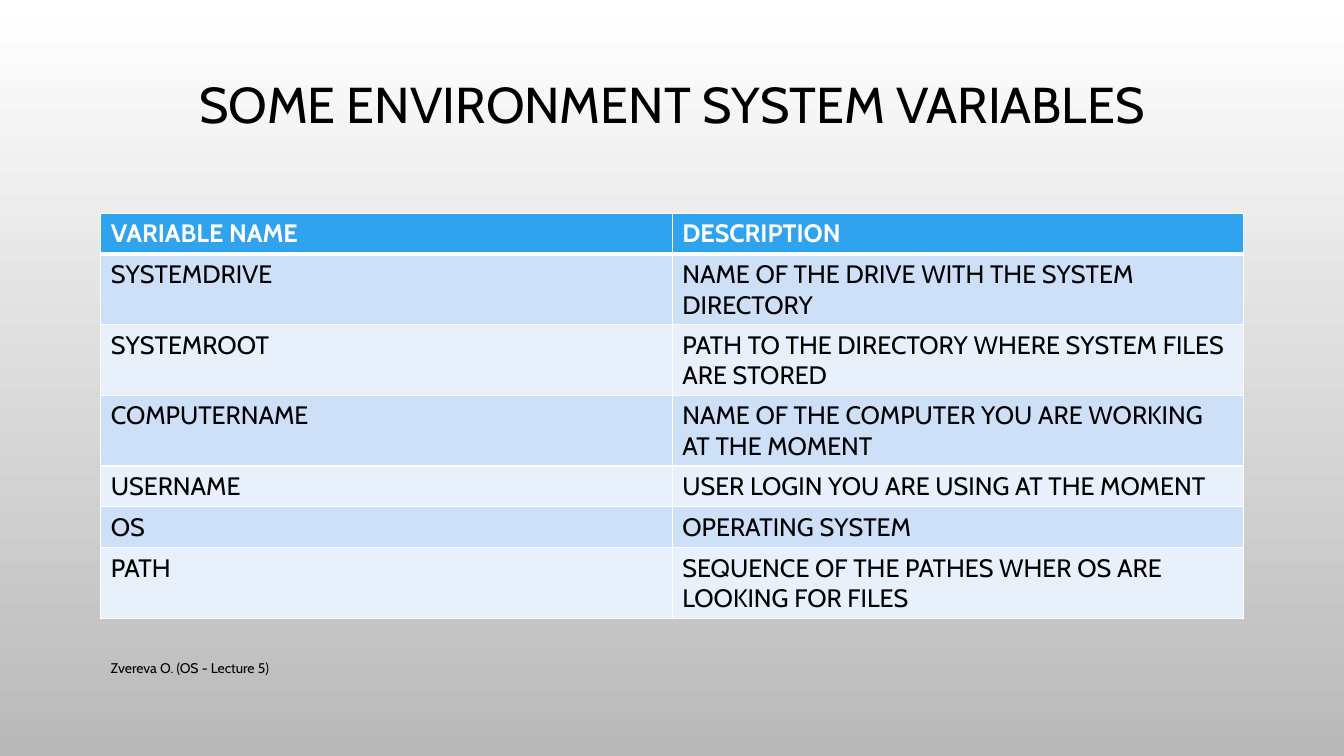
from dataclasses import dataclass

from lxml.etree import SubElement
from pptx import Presentation
from pptx.dml.color import RGBColor
from pptx.enum.text import MSO_ANCHOR, PP_ALIGN
from pptx.oxml.ns import qn
from pptx.util import Pt


@dataclass(frozen=True)
class Theme:
    """Colours, font and type sizes of the slide."""

    font: str = "Cabin"
    text: str = "000000"
    light: str = "FFFFFF"
    shade: str = "B9B9B9"
    header: str = "2FA3EE"
    bands: tuple = ("CDE0F8", "E8F0FC")
    title_size: int = 36
    table_size: int = 18
    footer_size: int = 10


class SlideBuilder:
    """Draws styled elements on the current slide."""

    def __init__(self, s, theme):
        self.s = s
        self.theme = theme

    def background(self):
        """Fill the slide with a vertical gradient."""
        fill = self.s.background.fill
        fill.gradient()
        fill.gradient_angle = 270
        for stop, color in zip(fill.gradient_stops, (self.theme.light, self.theme.shade)):
            stop.color.rgb = RGBColor.from_string(color)

    def style(self, p, size, color, bold=False):
        """Format every run of a paragraph."""
        for r in p.runs:
            r.font.name = self.theme.font
            r.font.size = Pt(size)
            r.font.bold = bold
            r.font.color.rgb = RGBColor.from_string(color)

    def text(self, text, left, top, width, height, size, align=PP_ALIGN.LEFT, spacing=1.0):
        """Add a vertically centred text box."""
        tf = self.s.shapes.add_textbox(Pt(left), Pt(top), Pt(width), Pt(height)).text_frame
        tf.word_wrap = True
        tf.vertical_anchor = MSO_ANCHOR.MIDDLE
        tf.text = text
        p = tf.paragraphs[0]
        p.alignment = align
        p.line_spacing = spacing
        self.style(p, size, self.theme.text)

    def borders(self, cell, top, bottom):
        """Draw light borders around a table cell."""
        tc_pr = cell._tc.get_or_add_tcPr()
        for side, width in (("L", 1), ("R", 1), ("T", top), ("B", bottom)):
            ln = SubElement(tc_pr, qn(f"a:ln{side}"), w=str(Pt(width)))
            fill = SubElement(ln, qn("a:solidFill"))
            SubElement(fill, qn("a:srgbClr"), val=self.theme.light)

    def table(self, rows, left, top, col_width, row_height):
        """Add a banded table with a header row."""
        n_rows, n_cols = len(rows), len(rows[0])
        table = self.s.shapes.add_table(
            n_rows, n_cols, Pt(left), Pt(top), Pt(col_width * n_cols), Pt(row_height * n_rows)
        ).table
        for col in table.columns:
            col.width = Pt(col_width)
        for i, values in enumerate(rows):
            table.rows[i].height = Pt(row_height)
            is_header = i == 0
            fill = self.theme.header if is_header else self.theme.bands[(i - 1) % 2]
            color = self.theme.light if is_header else self.theme.text
            for j, value in enumerate(values):
                cell = table.cell(i, j)
                self.borders(cell, 3 if i == 1 else 1, 3 if is_header else 1)
                cell.fill.solid()
                cell.fill.fore_color.rgb = RGBColor.from_string(fill)
                cell.text = value
                self.style(cell.text_frame.paragraphs[0], self.theme.table_size, color, is_header)


VARIABLES = [
    ("VARIABLE NAME", "DESCRIPTION"),
    ("SYSTEMDRIVE", "NAME OF THE DRIVE WITH THE SYSTEM DIRECTORY"),
    ("SYSTEMROOT", "PATH TO THE DIRECTORY WHERE SYSTEM FILES ARE STORED"),
    ("COMPUTERNAME", "NAME OF THE COMPUTER YOU ARE WORKING AT THE MOMENT"),
    ("USERNAME", "USER LOGIN YOU ARE USING AT THE MOMENT"),
    ("OS", "OPERATING SYSTEM"),
    ("PATH", "SEQUENCE OF THE PATHES WHER OS ARE LOOKING FOR FILES"),
]


def main():
    """Build the slide and save it."""
    prs = Presentation()
    prs.slide_width, prs.slide_height = Pt(960), Pt(540)
    theme = Theme()
    slide = SlideBuilder(prs.slides.add_slide(prs.slide_layouts[6]), theme)
    slide.background()
    slide.text("SOME ENVIRONMENT SYSTEM VARIABLES", 72, 13.5, 816, 126,
               theme.title_size, PP_ALIGN.CENTER, 0.9)
    slide.table(VARIABLES, 72, 152.4, 408.2, 29.2)
    slide.text("Zvereva O. (OS - Lecture 5)", 72, 463, 525.6, 28.8, theme.footer_size)
    prs.save("out.pptx")


if __name__ == "__main__":
    main()
